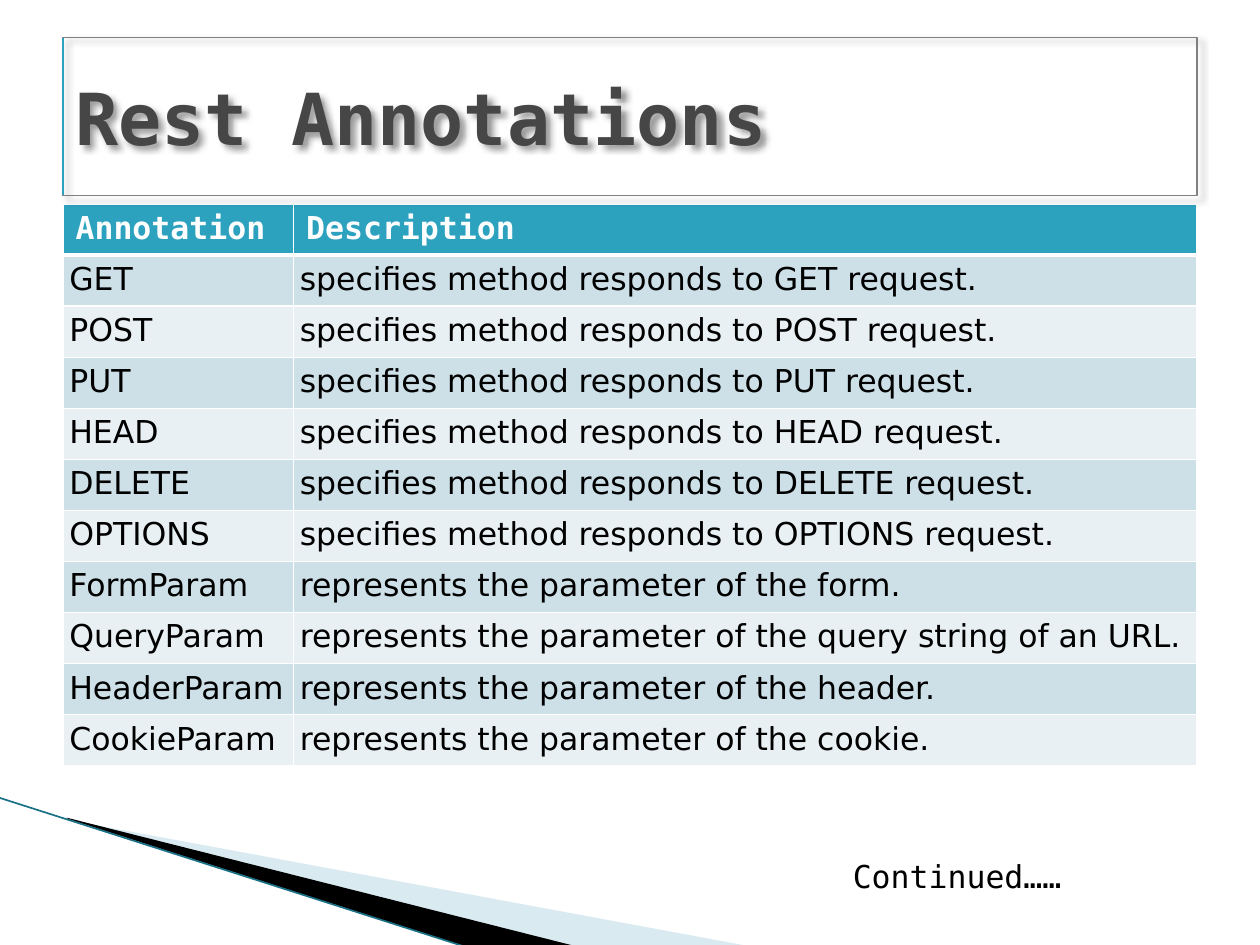
from lxml import etree
from pptx import Presentation
from pptx.dml.color import RGBColor
from pptx.enum.shapes import MSO_CONNECTOR as Link, MSO_SHAPE as Shape
from pptx.enum.text import MSO_ANCHOR as Anchor, PP_ALIGN as Align
from pptx.oxml import parse_xml
from pptx.oxml.ns import nsdecls, qn
from pptx.util import Inches, Pt

MONO, SANS = "DejaVu Sans Mono", "DejaVu Sans"
HEAD = ("Annotation", "Description")
VERBS = ("GET", "POST", "PUT", "HEAD", "DELETE", "OPTIONS")
PARAMS = (
    ("FormParam", "form"),
    ("QueryParam", "query string of an URL"),
    ("HeaderParam", "header"),
    ("CookieParam", "cookie"),
)
ROWS = [HEAD]
ROWS += [(verb, f"specifies method responds to {verb} request.") for verb in VERBS]
ROWS += [(name, f"represents the parameter of the {part}.") for name, part in PARAMS]


def color(code):
    return RGBColor.from_string(code)


def write(para, text, size, face, code, bold=False):
    run = para.add_run()
    run.text = text
    font = run.font
    font.size, font.name, font.bold = Pt(size), face, bold
    font.color.rgb = color(code)


def effect(shape, inner=""):
    """Replace the theme's effects with the given ones, or with none."""
    props = shape._element.spPr
    for old in props.findall(qn("a:effectLst")):
        props.remove(old)
    props.append(parse_xml(f"<a:effectLst {nsdecls('a')}>{inner}</a:effectLst>"))


def add_line(slide, start, end, code, width):
    ends = [Inches(v) for v in (*start, *end)]
    line = slide.shapes.add_connector(Link.STRAIGHT, *ends)
    line.line.color.rgb = color(code)
    line.line.width = Pt(width)
    effect(line)
    return line


def add_wedge(slide, points, code, alpha=100):
    spots = [(Inches(x), Inches(y)) for x, y in points]
    form = slide.shapes.build_freeform(*spots[0], scale=1.0)
    form.add_line_segments(spots[1:], close=True)
    wedge = form.convert_to_shape()
    wedge.shadow.inherit = False
    wedge.fill.solid()
    wedge.fill.fore_color.rgb = color(code)
    wedge.line.fill.background()
    if alpha < 100:
        tint = wedge._element.spPr.find(".//" + qn("a:srgbClr"))
        etree.SubElement(tint, qn("a:alpha")).set("val", str(alpha * 1000))


def add_corner(slide, x, y):
    """Draw the wedges that fan out from a point at the lower left."""
    def fan(*points):
        return [(x + dx, y + dy) for dx, dy in points]

    add_wedge(slide, fan((0.02, 0.02), (5.42, 1.02), (4.03, 1.02), (0.02, 0.01)), "A0CBDC", 40)
    add_wedge(slide, fan((0, 0), (4.04, 1.02), (3.19, 1.03), (0.01, 0.01)), "000000")
    add_line(slide, *fan((-0.54, -0.16), (3.18, 1.03)), "1A7085", 0.95)


def add_title(slide, x, y, w, h):
    box = slide.shapes.add_shape(Shape.RECTANGLE, *map(Inches, (x, y, w, h)))
    box.fill.background()
    box.line.color.rgb = color("808080")
    box.line.width = Pt(0.75)
    effect(box, '<a:outerShdw blurRad="50800" dist="38100" dir="2700000" algn="tl" rotWithShape="0">'
                '<a:srgbClr val="000000"><a:alpha val="40000"/></a:srgbClr></a:outerShdw>')
    frame = box.text_frame
    frame.word_wrap = True
    frame.vertical_anchor = Anchor.MIDDLE
    para = frame.paragraphs[0]
    para.alignment = Align.LEFT
    write(para, "Rest Annotations", 41, MONO, "464646", True)
    edge = add_line(slide, (x, y), (x, y + h), "2DA2BF", 0.75)
    effect(edge, '<a:glow rad="63500"><a:srgbClr val="2DC5E0">'
                 '<a:alpha val="50000"/></a:srgbClr></a:glow>')


def set_edges(cell, low):
    """Give the cell white borders, the bottom one of width low."""
    props = cell._tc.get_or_add_tcPr()
    for i, (side, width) in enumerate((("L", 1), ("R", 1), ("T", 1), ("B", low))):
        props.insert(i, parse_xml(
            f'<a:ln{side} {nsdecls("a")} w="{Pt(width)}"><a:solidFill>'
            f'<a:srgbClr val="FFFFFF"/></a:solidFill></a:ln{side}>'))


def add_grid(slide, x, y, w, h):
    first = 1.83
    frame = slide.shapes.add_table(len(ROWS), 2, *map(Inches, (x, y, w, h)))
    table = frame.table
    for col, width in zip(table.columns, (first, w - first)):
        col.width = Inches(width)
    for i, texts in enumerate(ROWS):
        for j, text in enumerate(texts):
            cell = table.cell(i, j)
            para = cell.text_frame.paragraphs[0]
            cell.fill.solid()
            if i == 0:
                fill = "2DA2BF"
                write(para, text, 18, MONO, "FFFFFF", True)
            else:
                fill = "CDE0E8" if i % 2 else "E8F0F4"
                cell.margin_left = cell.margin_right = Inches(0.05)
                cell.margin_top = cell.margin_bottom = Inches(0.05)
                para.alignment = Align.JUSTIFY
                write(para, text, 18, SANS, "000000")
            cell.fill.fore_color.rgb = color(fill)
            set_edges(cell, 1 if i else 3)


def add_note(slide, x, y, w, h):
    box = slide.shapes.add_textbox(*map(Inches, (x, y, w, h)))
    box.text_frame.word_wrap = True
    write(box.text_frame.paragraphs[0], "Continued……", 18, MONO, "000000")


def main():
    deck = Presentation()
    deck.slide_width, deck.slide_height = Inches(10), Inches(7.5)
    slide = deck.slides.add_slide(deck.slide_layouts[6])
    add_corner(slide, 0.53, 6.49)
    add_grid(slide, 0.5, 1.62, 9, 4.46)
    add_title(slide, 0.5, 0.3, 9, 1.25)
    add_note(slide, 6.67, 6.75, 3, 0.42)
    deck.save("out.pptx")


if __name__ == "__main__":
    main()
